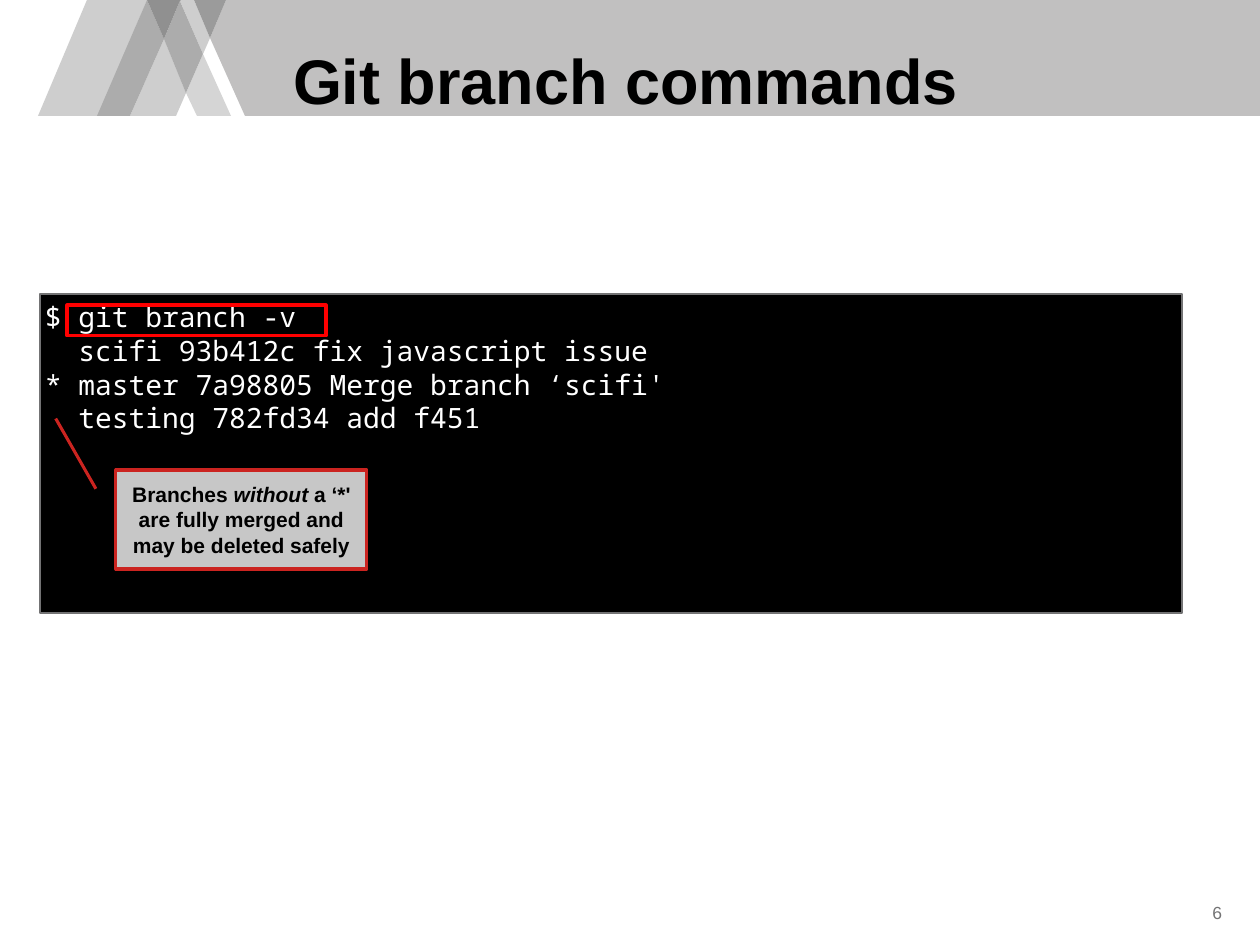
from dataclasses import dataclass

from pptx import Presentation
from pptx.dml.color import RGBColor
from pptx.enum.shapes import MSO_SHAPE
from pptx.enum.text import MSO_ANCHOR, PP_ALIGN
from pptx.util import Emu, Pt

PX = 914400 / 126


@dataclass(frozen=True)
class Theme:
    sans: str = "Arial"
    mono: str = "Noto Sans Mono"
    black: str = "000000"
    white: str = "FFFFFF"
    grey: str = "737374"
    callout: str = "C7C7C7"
    callout_line: str = "CB2420"
    highlight: str = "FF0000"
    band: str = "C1C0C0"
    pale: str = "D5D5D5"
    light: str = "CECECE"
    middle: str = "ACACAC"
    dark: str = "9B9B9B"
    darkest: str = "909090"
    title_size: int = 36
    code_size: int = 16
    note_size: int = 12
    number_size: int = 10


THEME = Theme()

# Content: a paragraph is a list of (text, italic) runs
TITLE = [[("Git branch commands", False)]]
NUMBER = [[("6", False)]]
CODE = [
    [("$ git branch -v\n  scifi 93b412c fix javascript issue", False)],
    [("* master 7a98805 Merge branch ‘scifi'", False)],
    [("  testing 782fd34 add f451", False)],
]
NOTE = [[("Branches ", False), ("without ", True),
         ("a ‘*' are fully merged and may be deleted safely", False)]]

# Header pattern: colour and corner points
HEADER = [
    (THEME.band, [(210, 38), (245, 116), (1260, 116), (1260, 0), (226, 0)]),
    (THEME.pale, [(203, 54), (186, 93), (197, 116), (231, 116)]),
    (THEME.light, [(194, 0), (180, 0), (180, 1), (203, 54), (210, 38)]),
    (THEME.light, [(164, 39), (130, 116), (176, 116), (186, 93)]),
    (THEME.light, [(147, 0), (87, 0), (38, 116), (98, 116)]),
    (THEME.dark, [(226, 0), (194, 0), (210, 38)]),
    (THEME.middle, [(180, 1), (164, 39), (186, 93), (203, 54)]),
    (THEME.middle, [(147, 0), (97, 116), (130, 116), (164, 39)]),
    (THEME.darkest, [(181, 0), (147, 0), (164, 39), (180, 1)]),
]


def px(*lengths):
    return [Emu(round(length * PX)) for length in lengths]


def paint(shape, fill=None, line=None, width=1):
    shape.shadow.inherit = False
    if fill:
        shape.fill.solid()
        shape.fill.fore_color.rgb = RGBColor.from_string(fill)
    else:
        shape.fill.background()
    if line:
        shape.line.color.rgb = RGBColor.from_string(line)
        shape.line.width = Pt(width)
    else:
        shape.line.fill.background()
    return shape


def write(shape, paragraphs, *, size, color=THEME.black, font=THEME.sans,
          bold=False, align=PP_ALIGN.LEFT, anchor=MSO_ANCHOR.TOP,
          insets=(0, 0, 0, 0), spacing=None):
    frame = shape.text_frame
    frame.word_wrap = True
    frame.vertical_anchor = anchor
    (frame.margin_left, frame.margin_top,
     frame.margin_right, frame.margin_bottom) = px(*insets)
    for index, runs in enumerate(paragraphs):
        paragraph = frame.add_paragraph() if index else frame.paragraphs[0]
        paragraph.alignment = align
        paragraph.line_spacing = spacing
        for text, italic in runs:
            for row, piece in enumerate(text.split("\n")):
                if row:
                    paragraph.add_line_break()
                run = paragraph.add_run()
                run.text = piece
                run.font.name = font
                run.font.size = Pt(size)
                run.font.bold = bold
                run.font.italic = italic
                run.font.color.rgb = RGBColor.from_string(color)


def main():
    deck = Presentation()
    deck.slide_width, deck.slide_height = px(1260, 945)
    shapes = deck.slides.add_slide(deck.slide_layouts[6]).shapes

    # Header pattern
    for color, (start, *corners) in HEADER:
        outline = shapes.build_freeform(*start, scale=PX)
        outline.add_line_segments(corners, close=True)
        paint(outline.convert_to_shape(), fill=color)

    # Slide number
    write(shapes.add_textbox(*px(1124, 898, 101, 32)), NUMBER,
          size=THEME.number_size, color=THEME.grey, align=PP_ALIGN.RIGHT,
          anchor=MSO_ANCHOR.MIDDLE, insets=(0, 0, 3, 3))

    # Terminal window and its text
    paint(shapes.add_shape(MSO_SHAPE.RECTANGLE, *px(40, 294, 1142, 319)),
          fill=THEME.black, line=THEME.grey)
    write(shapes.add_textbox(*px(32, 294, 1126, 149)), CODE,
          size=THEME.code_size, color=THEME.white, font=THEME.mono,
          insets=(13, 6, 13, 6))

    # Command highlight
    paint(shapes.add_shape(MSO_SHAPE.RECTANGLE, *px(67, 305, 259, 31)),
          line=THEME.highlight, width=1.75)

    # Callout
    callout = paint(
        shapes.add_shape(MSO_SHAPE.LINE_CALLOUT_1, *px(116, 470, 251, 99)),
        fill=THEME.callout, line=THEME.callout_line, width=1.75)
    for index, value in enumerate((0.19, -0.08, -0.52, -0.24)):
        callout.adjustments[index] = value
    write(callout, NOTE, size=THEME.note_size, bold=True,
          align=PP_ALIGN.CENTER, anchor=MSO_ANCHOR.MIDDLE,
          insets=(5, 5, 5, 5))

    # Title
    write(shapes.add_textbox(*px(293, 32, 673, 59)), TITLE,
          size=THEME.title_size, bold=True, spacing=1.12)

    deck.save("out.pptx")


if __name__ == "__main__":
    main()
